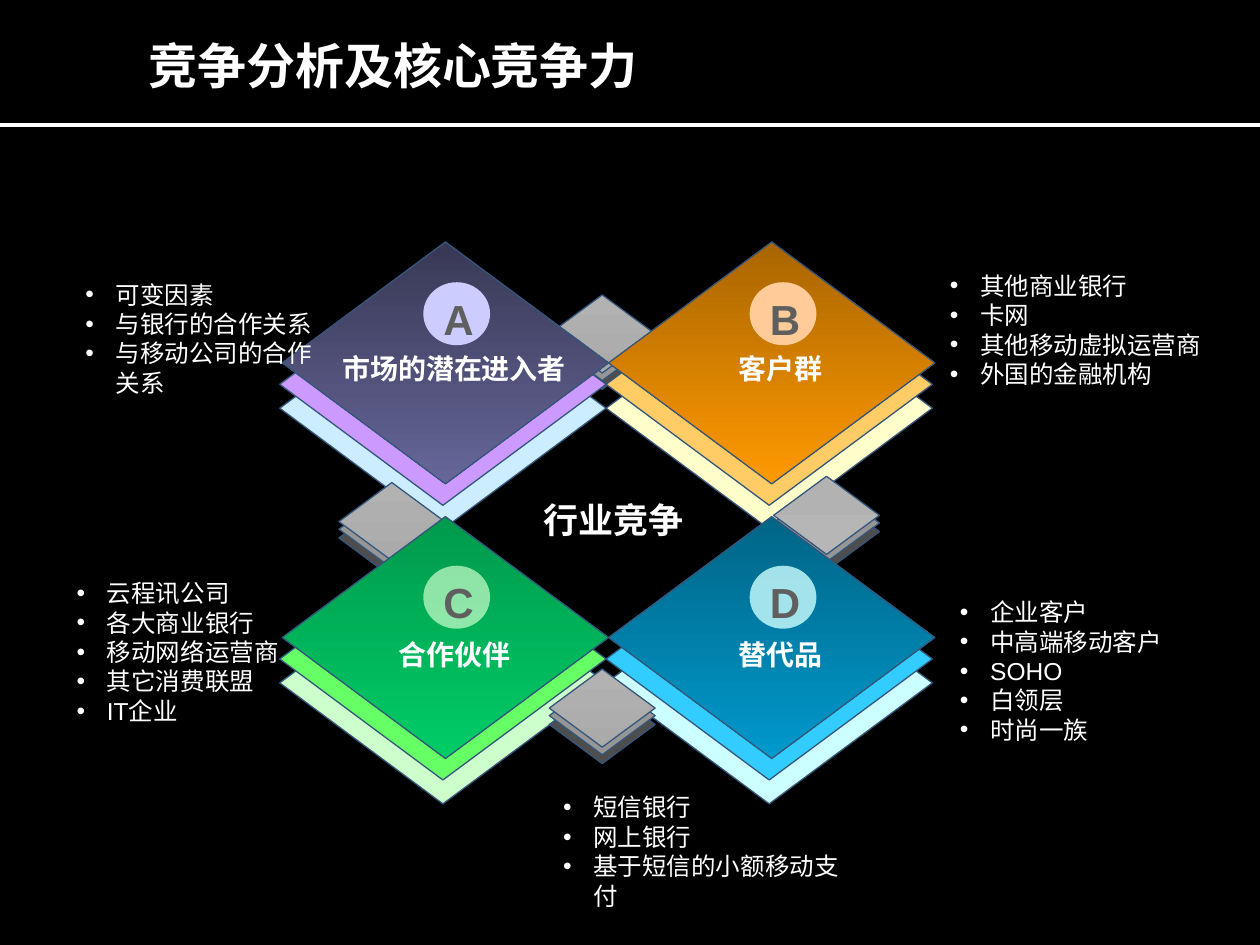
from lxml import etree
from pptx import Presentation
from pptx.dml.color import RGBColor
from pptx.enum.shapes import MSO_CONNECTOR, MSO_SHAPE
from pptx.enum.text import MSO_ANCHOR, MSO_AUTO_SIZE, PP_ALIGN
from pptx.oxml.ns import qn
from pptx.util import Inches, Pt

DIAMOND, OVAL = MSO_SHAPE.DIAMOND, MSO_SHAPE.OVAL
STRAIGHT = MSO_CONNECTOR.STRAIGHT
LEFT, CENTER = PP_ALIGN.LEFT, PP_ALIGN.CENTER
TOP, MIDDLE = MSO_ANCHOR.TOP, MSO_ANCHOR.MIDDLE
FIT, FIXED = MSO_AUTO_SIZE.SHAPE_TO_FIT_TEXT, MSO_AUTO_SIZE.NONE

THEME = {
    "background": "000000", "white": "FFFFFF", "outline": "35567B",
    "grey_layers": ("4D4D4D", "969696"), "outline_width": 0.75, "rule_width": 2.25,
    "title": {"name": "Noto Sans CJK SC", "size": 28, "bold": True, "color": "FFFFFF"},
    "centre": {"name": "Arial", "size": 20, "bold": True, "color": "FFFFFF"},
    "label": {"name": "Arial", "size": 16, "bold": True, "color": "FFFFFF"},
    "letter": {"name": "Arial", "size": 24, "bold": True, "color": "5F5F5F"},
    "list": {"name": "Arial", "size": 14, "bold": False, "color": "FFFFFF"},
}

TITLE = ("竞争分析及核心竞争力", (1.08, 0.25, 7.75, 0.53))
CENTRE = ("行业竞争", (4.21, 3.91, 1.32, 0.44))

COLUMNS = (2.24, 4.83)
ROWS = ({"top": 1.92, "circle": 2.24, "label": 2.74},
        {"top": 4.10, "circle": 4.49, "label": 5.01})
CARD_SIZE, CARD_OFFSETS = (2.59, 1.92), ((-0.02, 0.36), (-0.02, 0.17))
LINK_SIZE, LINK_OFFSETS = (0.84, 0.62), ((0, 0.13), (0, 0.06))
LABEL_PADDING = 0.21

CARDS = {
    "A": {"cell": (0, 0), "label": "市场的潜在进入者", "layers": ("CCECFF", "CC99FF"),
          "gradient": ("383855", "666699"), "circle": ("CCCCFF", 100)},
    "B": {"cell": (0, 1), "label": "客户群", "layers": ("FFFFCC", "FFCC66"),
          "gradient": ("A86500", "FF9900"), "circle": ("FFCC99", 100)},
    "C": {"cell": (1, 0), "label": "合作伙伴", "layers": ("CCFFCC", "66FF66"),
          "gradient": ("009A4D", "00CC66"), "circle": ("CCFFCC", 70)},
    "D": {"cell": (1, 1), "label": "替代品", "layers": ("CCFFFF", "33CCFF"),
          "gradient": ("006586", "0099CC"), "circle": ("CCFFFF", 80)},
}
LINKS = {
    "top": ((4.36, 2.34), ("B2B2B2", "AAAAAA")),
    "right": ((6.14, 3.78), ("B2B2B2", "B6B6B6")),
    "left": ((2.69, 3.83), ("B2B2B2", "AAAAAA")),
    "bottom": ((4.36, 5.31), ("B2B2B2", "AAAAAA")),
}
STACK_ORDER = ("top", "B", "A", "right", "D", "left", "C", "bottom")

LISTS = [
    ((7.44, 2.10, 2.22, 1.04), ("其他商业银行", "卡网", "其他移动虚拟运营商", "外国的金融机构")),
    ((7.52, 4.69, 2.22, 1.27), ("企业客户", "中高端移动客户", "SOHO", "白领层", "时尚一族")),
    ((0.58, 2.17, 2.12, 1.04), ("可变因素", "与银行的合作关系", "与移动公司的合作关系")),
    ((0.51, 4.54, 2.12, 1.50), ("云程讯公司", "各大商业银行", "移动网络运营商", "其它消费联盟", "IT企业")),
    ((4.37, 6.24, 2.52, 0.80), ("短信银行", "网上银行", "基于短信的小额移动支付")),
]
BULLET_INDENT = 0.24


def rgb(name):
    return RGBColor.from_string(name)


def inches(values):
    return [Inches(value) for value in values]


def add_filled(shapes, kind, area, color):
    shape = shapes.add_shape(kind, *inches(area))
    shape.shadow.inherit = False
    if isinstance(color, tuple):
        shape.fill.gradient()
        shape.fill.gradient_angle = 270
        for stop, stop_color in zip(shape.fill.gradient_stops, color):
            stop.color.rgb = rgb(stop_color)
    else:
        shape.fill.solid()
        shape.fill.fore_color.rgb = rgb(color)
    return shape


def add_stack(page, corner, size, offsets, layers, gradient):
    group = page.shapes.add_group_shape()
    for (dx, dy), color in zip((*offsets, (0, 0)), (*layers, gradient)):
        area = (corner[0] + dx, corner[1] + dy, *size)
        diamond = add_filled(group.shapes, DIAMOND, area, color)
        diamond.line.color.rgb = rgb(THEME["outline"])
        diamond.line.width = Pt(THEME["outline_width"])


def add_text(page, area, lines, style, align=CENTER, wrap=False, fit=FIT, anchor=TOP):
    box = page.shapes.add_textbox(*inches(area))
    frame = box.text_frame
    settings = {"word_wrap": wrap, "auto_size": fit, "vertical_anchor": anchor}
    for name, value in settings.items():
        setattr(frame, name, value)
    look = THEME[style]
    for index, line in enumerate(lines):
        para = frame.paragraphs[0] if index == 0 else frame.add_paragraph()
        para.alignment = align
        span = para.add_run()
        span.text = line
        formats = {"name": look["name"], "size": Pt(look["size"]), "bold": look["bold"]}
        for name, value in formats.items():
            setattr(span.font, name, value)
        span.font.color.rgb = rgb(look["color"])
    return box


def add_bullets(box):
    indent = Inches(BULLET_INDENT)
    for para in box.text_frame.paragraphs:
        properties = para._p.get_or_add_pPr()
        properties.set("marL", str(indent))
        properties.set("indent", str(-indent))
        bullet_color = etree.SubElement(properties, qn("a:buClr"))
        etree.SubElement(bullet_color, qn("a:srgbClr"), val=THEME["white"])
        etree.SubElement(properties, qn("a:buFont"), typeface="Arial")
        etree.SubElement(properties, qn("a:buChar"), char="•")


def add_card(page, letter, card):
    row, column = card["cell"]
    left, tops = COLUMNS[column], ROWS[row]
    add_stack(page, (left, tops["top"]), CARD_SIZE, CARD_OFFSETS, card["layers"], card["gradient"])
    label_width = len(card["label"]) * THEME["label"]["size"] / 72 + LABEL_PADDING
    label_left = left + CARD_SIZE[0] / 2 + 0.07 - label_width / 2
    add_text(page, (label_left, tops["label"], label_width, 0.37), [card["label"]], "label")
    color, opacity = card["circle"]
    circle = add_filled(page.shapes, OVAL, (left + 1.12, tops["circle"], 0.53, 0.5), color)
    circle.line.fill.background()
    if opacity < 100:
        color_node = circle._element.spPr.find(qn("a:solidFill"))[0]
        etree.SubElement(color_node, qn("a:alpha"), val=str(opacity * 1000))
    add_text(page, (left + 1.18, tops["circle"] + 0.04, 0.44, 0.5), [letter], "letter")


def main():
    deck = Presentation()
    deck.slide_width, deck.slide_height = Inches(10), Inches(7.5)
    page = deck.slides.add_slide(deck.slide_layouts[6])
    page.background.fill.solid()
    page.background.fill.fore_color.rgb = rgb(THEME["background"])

    rule = page.shapes.add_connector(STRAIGHT, *inches((0, 0.99, 10, 0.99)))
    rule.line.color.rgb = rgb(THEME["white"])
    rule.line.width = Pt(THEME["rule_width"])
    etree.SubElement(rule._element.spPr, qn("a:effectLst"))

    for name in STACK_ORDER:
        if name in CARDS:
            add_card(page, name, CARDS[name])
        else:
            corner, gradient = LINKS[name]
            add_stack(page, corner, LINK_SIZE, LINK_OFFSETS, THEME["grey_layers"], gradient)

    add_text(page, CENTRE[1], [CENTRE[0]], "centre")
    for area, lines in LISTS:
        add_bullets(add_text(page, area, lines, "list", LEFT, True))
    add_text(page, TITLE[1], [TITLE[0]], "title", LEFT, True, FIXED, MIDDLE)
    deck.save("out.pptx")


if __name__ == "__main__":
    main()
